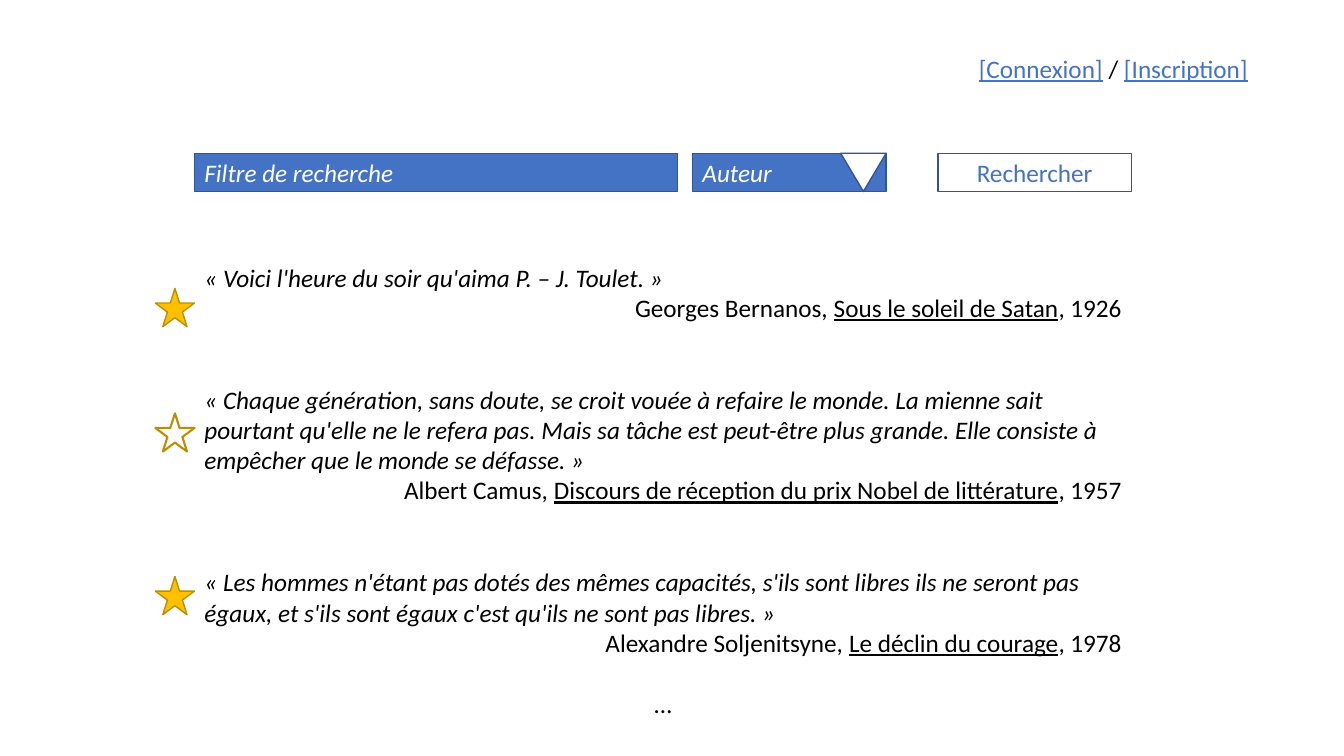
import pptx
import pptx.util
import pptx.dml.color
import pptx.enum.shapes
import pptx.enum.text

SHAPE = pptx.enum.shapes.MSO_SHAPE
ALIGN = pptx.enum.text.PP_ALIGN
ANCHOR = pptx.enum.text.MSO_ANCHOR
BLUE, NAVY, GOLD, OCHRE = "4472C4", "325491", "FFC000", "BD8E00"
WHITE, BLACK = "FFFFFF", "000000"


def color(value):
    return pptx.dml.color.RGBColor.from_string(value)


class Page:
    font, size = "Calibri", 18
    column, row = 0.48, 0.38
    line_height = 22

    def __init__(self, deck):
        self.slide = deck.slides.add_slide(deck.slide_layouts[6])

    def place(self, left, top, width, height):
        lengths = (left * self.column, top * self.row, width * self.column, height * self.row)
        return [pptx.util.Inches(length) for length in lengths]

    def shape(self, preset, area, fill, line, weight=1):
        figure = self.slide.shapes.add_shape(preset, *self.place(*area))
        figure.shadow.inherit = False
        figure.fill.solid()
        figure.fill.fore_color.rgb = color(fill)
        figure.line.color.rgb = color(line)
        figure.line.width = pptx.util.Pt(weight)
        return figure

    def run(self, paragraph, text, ink=BLACK, italic=False, underline=False):
        run = paragraph.add_run()
        run.text = text
        run.font.name = self.font
        run.font.size = pptx.util.Pt(self.size)
        run.font.color.rgb = color(ink)
        run.font.italic = italic
        run.font.underline = underline

    def field(self, label, area, fill, ink, align=ALIGN.LEFT, italic=True):
        box = self.shape(SHAPE.RECTANGLE, area, fill, NAVY)
        box.text_frame.vertical_anchor = ANCHOR.MIDDLE
        box.text_frame.word_wrap = True
        paragraph = box.text_frame.paragraphs[0]
        paragraph.alignment = align
        self.run(paragraph, label, ink, italic)

    def text(self, area, wrap=True):
        frame = self.slide.shapes.add_textbox(*self.place(*area)).text_frame
        frame.word_wrap = wrap
        return frame

    def paragraph(self, frame, align=ALIGN.LEFT, lines_before=0):
        first = frame.paragraphs[0]
        paragraph = frame.add_paragraph() if first.runs else first
        paragraph.alignment = align
        paragraph.space_before = pptx.util.Pt(lines_before * self.line_height)
        return paragraph

    def star(self, top, fill, weight):
        self.shape(SHAPE.STAR_5_POINT, (3.21, top, 0.81, 1), fill, OCHRE, weight)


deck = pptx.Presentation()
deck.slide_width = pptx.util.Inches(13.33)
deck.slide_height = pptx.util.Inches(7.5)
page = Page(deck)

margin, bar_top, field_width = 4.02, 4, 4
author_left, search_left, arrow_width = 14.31, 19.38, 0.94
page.field("Filtre de recherche", (margin, bar_top, 9.98, 1), BLUE, WHITE)
page.field("Auteur", (author_left, bar_top, field_width, 1), BLUE, WHITE)
arrow_left = author_left + field_width - arrow_width
arrow = page.shape(SHAPE.ISOSCELES_TRIANGLE, (arrow_left, bar_top, arrow_width, 1), WHITE, NAVY)
arrow.rotation = 180
page.field("Rechercher", (search_left, bar_top, field_width, 1), WHITE, BLUE, ALIGN.CENTER, False)

account = page.paragraph(page.text((20.02, 1.26, 6.04, 1.05), wrap=False))
page.run(account, "[Connexion]", BLUE, underline=True)
page.run(account, " / ")
page.run(account, "[Inscription]", BLUE, underline=True)

quotes = [
    ("Voici l'heure du soir qu'aima P. – J. Toulet.",
     "Georges Bernanos", "Sous le soleil de Satan", 1926, 7.53, True),
    ("Chaque génération, sans doute, se croit vouée à refaire le monde. "
     "La mienne sait pourtant qu'elle ne le refera pas. Mais sa tâche est "
     "peut-être plus grande. Elle consiste à empêcher que le monde se défasse.",
     "Albert Camus", "Discours de réception du prix Nobel de littérature", 1957, 10.79, False),
    ("Les hommes n'étant pas dotés des mêmes capacités, s'ils sont libres ils ne "
     "seront pas égaux, et s'ils sont égaux c'est qu'ils ne sont pas libres.",
     "Alexandre Soljenitsyne", "Le déclin du courage", 1978, 15.05, True),
]
results = page.text((margin, 6.71, search_left + field_width - margin, 12.21))
for index, (quote, author, work, year, star_top, favorite) in enumerate(quotes):
    citation = page.paragraph(results, lines_before=2 if index else 0)
    page.run(citation, f"«\u00a0{quote}\u00a0»", italic=True)
    source = page.paragraph(results, ALIGN.RIGHT)
    page.run(source, f"{author}, ")
    page.run(source, work, underline=True)
    page.run(source, f", {year}")
    page.star(star_top, GOLD if favorite else WHITE, 1 if favorite else 1.5)
page.run(page.paragraph(results, ALIGN.CENTER, lines_before=1), "…")

deck.save("out.pptx")
